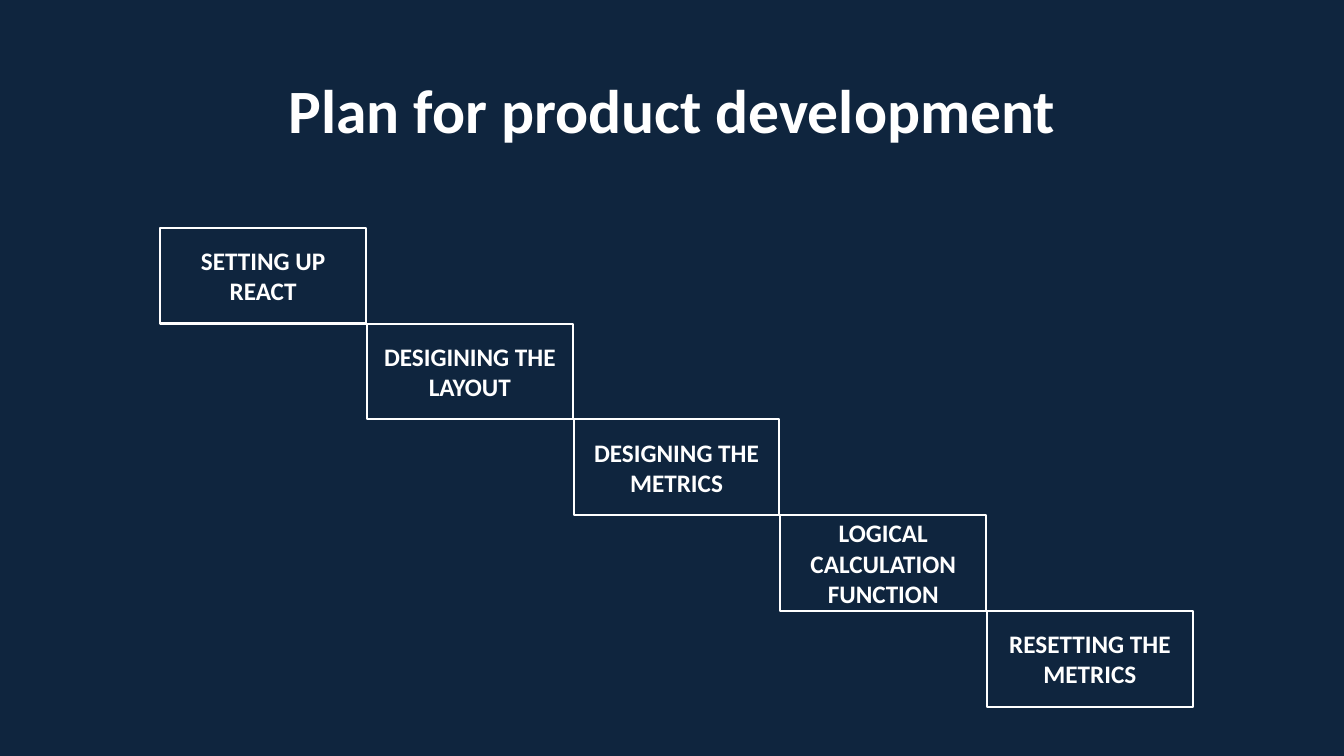
from pptx import Presentation
from pptx.dml.color import RGBColor
from pptx.enum.shapes import MSO_SHAPE
from pptx.enum.text import MSO_ANCHOR, PP_ALIGN
from pptx.util import Inches, Pt

COLORS = {"navy": "0F253E", "white": "FFFFFF"}
WHITE = RGBColor.from_string(COLORS["white"])


def write_centered(frame, text, size, line_spacing=1.0):
    frame.word_wrap = True
    frame.vertical_anchor = MSO_ANCHOR.MIDDLE
    paragraph = frame.paragraphs[0]
    paragraph.alignment = PP_ALIGN.CENTER
    paragraph.line_spacing = line_spacing
    run = paragraph.add_run()
    run.text = text
    font_format = {"name": "Calibri", "size": Pt(size), "bold": True}
    for attribute, value in font_format.items():
        setattr(run.font, attribute, value)
    run.font.color.rgb = WHITE


prs = Presentation()
prs.slide_width = Inches(13.33)
prs.slide_height = Inches(7.5)
slide = prs.slides.add_slide(prs.slide_layouts[6])
slide.background.fill.solid()
slide.background.fill.fore_color.rgb = RGBColor.from_string(COLORS["navy"])

title = slide.shapes.add_textbox(Inches(0.92), Inches(0.4), Inches(11.5), Inches(1.45))
write_centered(title.text_frame, "Plan for product development", 44, 0.9)

# Each step starts near the lower right corner of the one before
STEPS = [
    "SETTING UP REACT",
    "DESIGINING THE LAYOUT",
    "DESIGNING THE METRICS",
    "LOGICAL CALCULATION FUNCTION",
    "RESETTING THE METRICS",
]
FIRST_LEFT, FIRST_TOP = Inches(1.59), Inches(2.26)
STEP_WIDTH, STEP_HEIGHT = Inches(2.04), Inches(0.95)
STEP_RIGHT, STEP_DOWN = Inches(2.05), Inches(0.95)

for index, label in enumerate(STEPS):
    step = slide.shapes.add_shape(
        MSO_SHAPE.RECTANGLE,
        FIRST_LEFT + index * STEP_RIGHT,
        FIRST_TOP + index * STEP_DOWN,
        STEP_WIDTH,
        STEP_HEIGHT,
    )
    step.shadow.inherit = False
    step.fill.background()
    step.line.color.rgb = WHITE
    step.line.width = Pt(1.5)
    write_centered(step.text_frame, label, 18)

prs.save("out.pptx")
